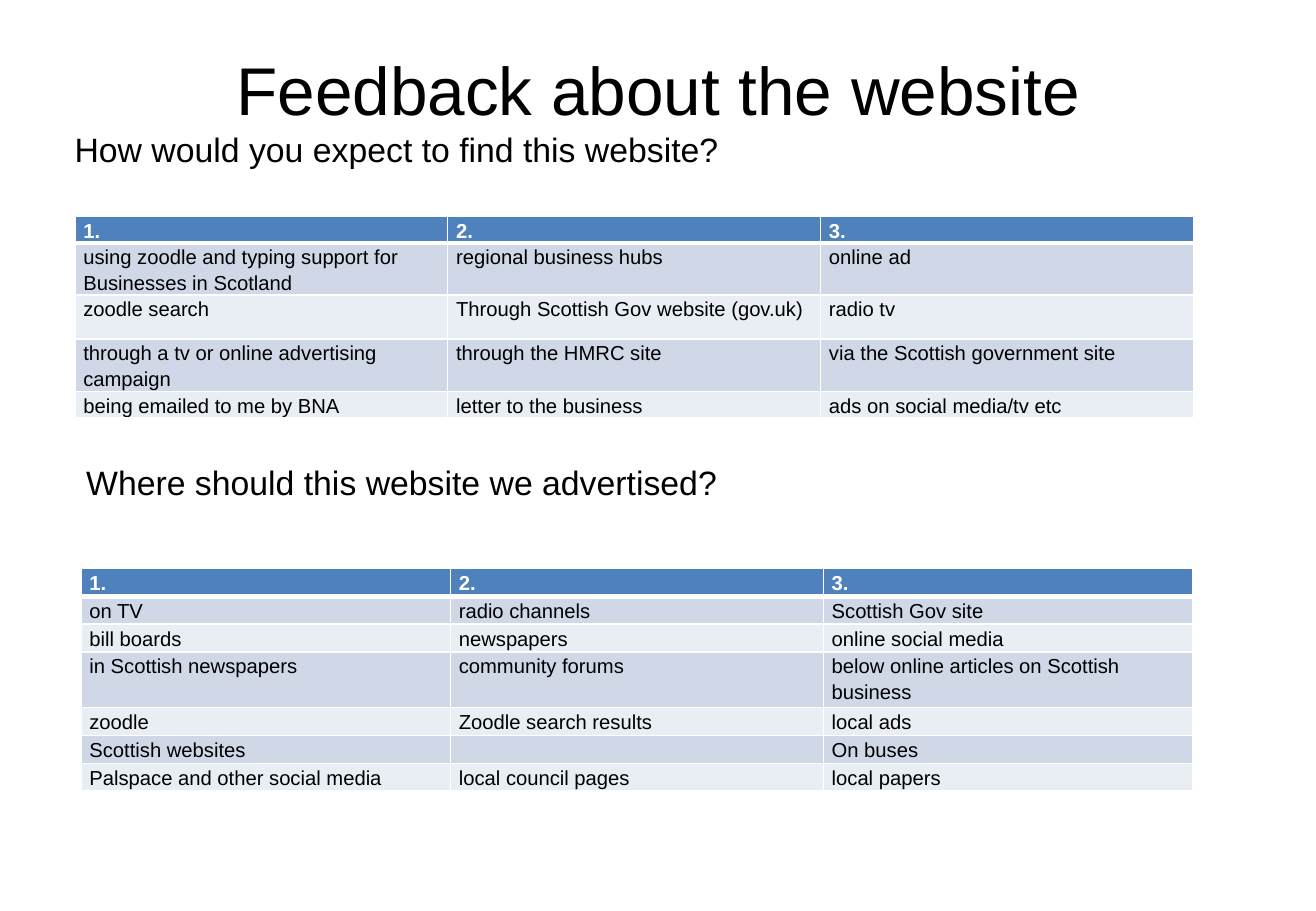
"""Build the website feedback slide with two answer tables."""
from dataclasses import dataclass

from lxml import etree
from pptx import Presentation
from pptx.dml.color import RGBColor
from pptx.enum import text
from pptx.oxml import ns
from pptx.util import Pt


@dataclass(frozen=True)
class Theme:
    """Colours, typeface and type sizes of the slide."""
    font: str = "Arial"
    ink: str = "000000"
    paper: str = "FFFFFF"
    header: str = "4F81BD"
    bands: tuple = ("D0D8E8", "E9EDF4")
    title_size: float = 40
    question_size: float = 20
    cell_size: float = 12
    thin_line: float = 1
    thick_line: float = 3


class FeedbackSlide:
    """Add styled elements to the current slide."""

    def __init__(self, presentation, theme):
        """Start a slide with title and body placeholders."""
        self.theme = theme
        self.slide = presentation.slides.add_slide(presentation.slide_layouts[1])

    def style_paragraph(self, paragraph, size, color, bold=False):
        """Set the font of a whole paragraph."""
        font = paragraph.font
        font.name, font.size, font.bold = self.theme.font, Pt(size), bold
        font.color.rgb = RGBColor.from_string(color)

    def set_words(self, shape, words, size, wrap=True):
        """Put one top-anchored paragraph into a shape."""
        frame = shape.text_frame
        frame.text = words
        frame.word_wrap = wrap
        frame.auto_size = text.MSO_AUTO_SIZE.NONE
        frame.vertical_anchor = text.MSO_ANCHOR.TOP
        paragraph = frame.paragraphs[0]
        paragraph.space_before = Pt(0)
        self.style_paragraph(paragraph, size, self.theme.ink)
        return paragraph

    def place(self, shape, left, top, width, height):
        """Place a shape, in points."""
        shape.left, shape.top = Pt(left), Pt(top)
        shape.width, shape.height = Pt(width), Pt(height)

    def title(self, words, *box):
        """Fill the title placeholder."""
        shape = self.slide.shapes.title
        self.place(shape, *box)
        paragraph = self.set_words(shape, words, self.theme.title_size)
        paragraph.alignment = text.PP_ALIGN.CENTER

    def body(self, words, *box):
        """Fill the body placeholder without a bullet."""
        shape = self.slide.placeholders[1]
        self.place(shape, *box)
        paragraph = self.set_words(shape, words, self.theme.question_size)
        properties = paragraph._p.get_or_add_pPr()
        properties.set("marL", "0")
        properties.set("indent", "0")
        properties.insert_element_before(
            properties.makeelement(ns.qn("a:buNone")), "a:tabLst", "a:defRPr", "a:extLst")

    def question(self, words, left, top, width, height):
        """Add a question in a text box."""
        shape = self.slide.shapes.add_textbox(Pt(left), Pt(top), Pt(width), Pt(height))
        self.set_words(shape, words, self.theme.question_size, wrap=False)

    def border(self, cell, side, width):
        """Draw one side of a cell border."""
        line = etree.SubElement(
            cell._tc.get_or_add_tcPr(), ns.qn(f"a:ln{side}"), w=str(Pt(width)))
        fill = etree.SubElement(line, ns.qn("a:solidFill"))
        etree.SubElement(fill, ns.qn("a:srgbClr"), val=self.theme.paper)

    def cell(self, cell, words, row):
        """Fill and style one table cell."""
        theme = self.theme
        is_header = row == 0
        for side in "LRTB":
            is_thick = (side, row) in (("B", 0), ("T", 1))
            self.border(cell, side, theme.thick_line if is_thick else theme.thin_line)
        cell.fill.solid()
        color = theme.header if is_header else theme.bands[(row - 1) % 2]
        cell.fill.fore_color.rgb = RGBColor.from_string(color)
        cell.margin_left = cell.margin_right = Pt(5)
        cell.margin_top = cell.margin_bottom = Pt(0)
        cell.text = words
        paragraph = cell.text_frame.paragraphs[0]
        paragraph.line_spacing = 1.15
        ink = theme.paper if is_header else theme.ink
        self.style_paragraph(paragraph, theme.cell_size, ink, is_header)

    def table(self, left, top, widths, heights, answers):
        """Add a table with numbered columns and banded answers."""
        rows = [("1.", "2.", "3."), *answers]
        frame = self.slide.shapes.add_table(
            len(rows), len(widths), Pt(left), Pt(top), Pt(sum(widths)), Pt(sum(heights)))
        table = frame.table
        table.first_row = table.horz_banding = False
        for column, width in zip(table.columns, widths):
            column.width = Pt(width)
        for row, (height, entries) in enumerate(zip(heights, rows)):
            table.rows[row].height = Pt(height)
            for column, words in enumerate(entries):
                self.cell(table.cell(row, column), words, row)


FINDING_ANSWERS = [
    ("using zoodle and typing support for Businesses in Scotland",
     "regional business hubs", "online ad"),
    ("zoodle search", "Through Scottish Gov website (gov.uk)", "radio tv"),
    ("through a tv or online advertising campaign", "through the HMRC site",
     "via the Scottish government site"),
    ("being emailed to me by BNA", "letter to the business", "ads on social media/tv etc"),
]
ADVERTISING_ANSWERS = [
    ("on TV", "radio channels", "Scottish Gov site"),
    ("bill boards", "newspapers", "online social media"),
    ("in Scottish newspapers", "community forums",
     "below online articles on Scottish business"),
    ("zoodle", "Zoodle search results", "local ads"),
    ("Scottish websites", "", "On buses"),
    ("Palspace and other social media", "local council pages", "local papers"),
]

presentation = Presentation()
presentation.slide_width, presentation.slide_height = Pt(780), Pt(540)
feedback = FeedbackSlide(presentation, Theme())
feedback.title("Feedback about the website", 39, 25, 702, 90)
feedback.body("How would you expect to find this website?", 37, 73, 702, 445)
feedback.table(44.4, 128.5, [221] * 3, [15, 31, 26, 31, 15], FINDING_ANSWERS)
feedback.question("Where should this website we advertised?", 44, 270, 392, 32)
feedback.table(48, 337, [219, 221, 219], [16.5] * 3 + [33] + [16.5] * 3, ADVERTISING_ANSWERS)
presentation.save("out.pptx")
